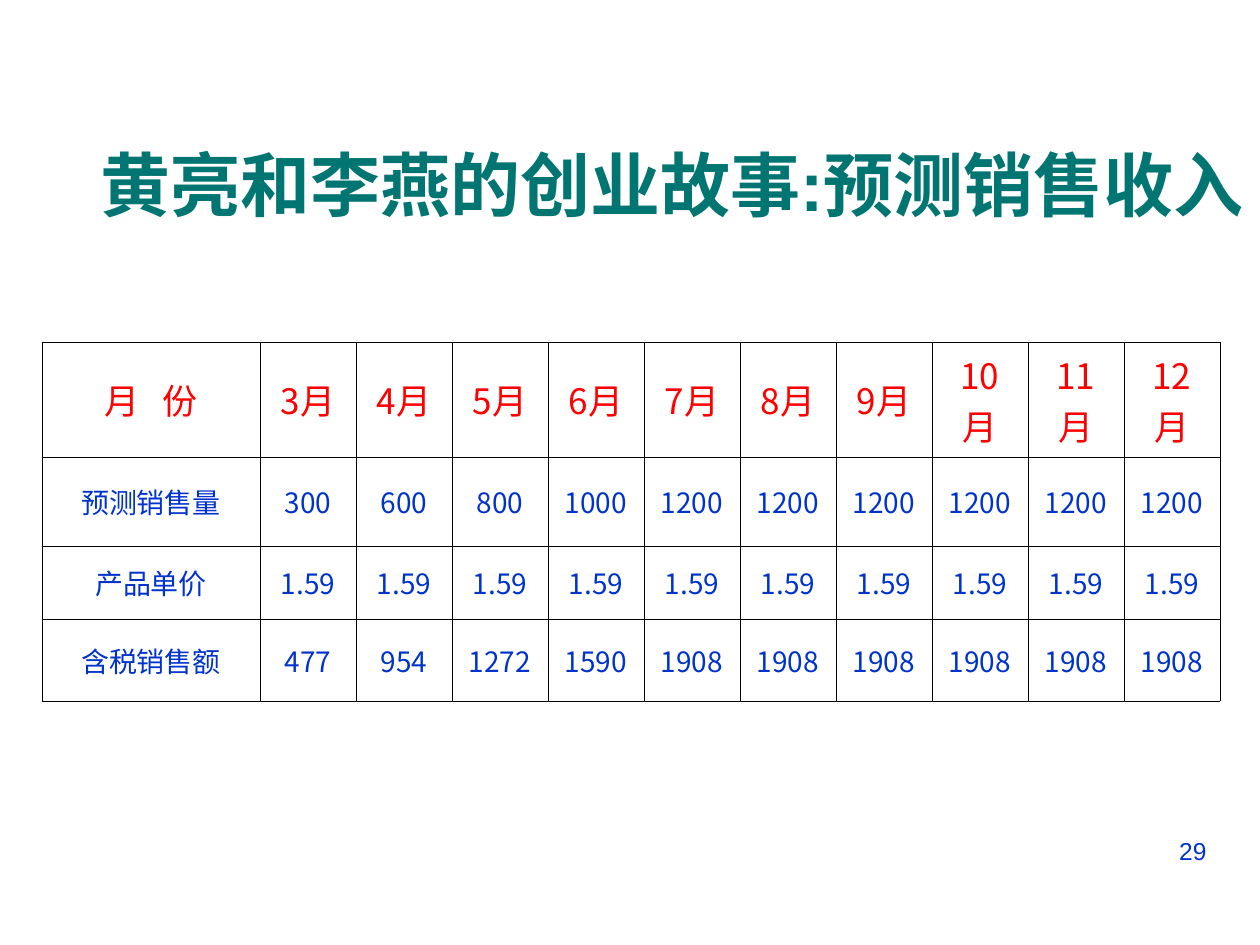
"""Build the sales revenue forecast slide."""
from dataclasses import dataclass

from lxml.etree import SubElement
from pptx import Presentation
from pptx.dml.color import RGBColor
from pptx.enum.text import MSO_ANCHOR, PP_ALIGN
from pptx.oxml.ns import qn
from pptx.util import Emu, Pt


@dataclass(frozen=True)
class TextStyle:
    font: str
    size: int
    color: str
    bold: bool = False


@dataclass(frozen=True)
class Theme:
    title: TextStyle = TextStyle("Arial", 40, "007572", True)
    header: TextStyle = TextStyle("Noto Sans CJK SC", 20, "FF0000")
    body: TextStyle = TextStyle("Noto Sans CJK SC", 16, "0033CC")
    number: TextStyle = TextStyle("Arial", 14, "0033CC")
    border_color: str = "000000"
    border_width: float = 0.45


@dataclass(frozen=True)
class Box:
    left: int
    top: int
    width: int
    height: int


@dataclass(frozen=True)
class TextBlock:
    text: str
    box: Box
    style: TextStyle
    alignment: PP_ALIGN
    anchor: MSO_ANCHOR


@dataclass(frozen=True)
class ForecastRow:
    label: str
    values: list[str]
    height: int
    style: TextStyle


THEME = Theme()
PIXELS_PER_INCH = 126
LABEL_WIDTH = 218
MONTH_WIDTH = 96
LABEL_GAP = 9
TABLE_LEFT = 42
TABLE_TOP = 342
VOLUMES = [300, 600, 800, 1000] + [1200] * 6
UNIT_PRICE = 1.59

BLOCKS = [
    TextBlock("黄亮和李燕的创业故事:预测销售收入 ", Box(84, 136, 1176, 95),
              THEME.title, PP_ALIGN.CENTER, MSO_ANCHOR.MIDDLE),
    TextBlock("29", Box(904, 830, 315, 66),
              THEME.number, PP_ALIGN.RIGHT, MSO_ANCHOR.TOP),
]
ROWS = [
    ForecastRow("月 份", [f"{month}月" for month in range(3, 13)], 115, THEME.header),
    ForecastRow("预测销售量", [str(volume) for volume in VOLUMES], 89, THEME.body),
    ForecastRow("产品单价", [str(UNIT_PRICE)] * len(VOLUMES), 73, THEME.body),
    ForecastRow("含税销售额", [f"{volume * UNIT_PRICE:.0f}" for volume in VOLUMES],
                82, THEME.body),
]


def scale(pixels: int) -> Emu:
    """Turn pixels into EMU."""
    return Emu(round(pixels * 914400 / PIXELS_PER_INCH))


def place(box: Box) -> tuple[Emu, ...]:
    """Give the scaled position and size of a box."""
    return tuple(scale(value) for value in (box.left, box.top, box.width, box.height))


def add_run(paragraph, text: str, style: TextStyle, spacing: int = 0) -> None:
    """Add one styled run, with optional letter spacing in points."""
    run = paragraph.add_run()
    run.text = text
    run.font.name = style.font
    run.font.size = Pt(style.size)
    run.font.bold = style.bold
    run.font.color.rgb = RGBColor.from_string(style.color)
    properties = run.font._element
    SubElement(properties, qn("a:ea"), typeface=style.font)
    if spacing:
        properties.set("spc", str(spacing * 100))


def add_text_block(slide, block: TextBlock) -> None:
    """Draw a wrapped text box."""
    frame = slide.shapes.add_textbox(*place(block.box)).text_frame
    frame.word_wrap = True
    frame.vertical_anchor = block.anchor
    paragraph = frame.paragraphs[0]
    paragraph.alignment = block.alignment
    add_run(paragraph, block.text, block.style)


def add_borders(cell) -> None:
    """Outline a cell on all four sides."""
    properties = cell._tc.get_or_add_tcPr()
    for index, side in enumerate(("a:lnL", "a:lnR", "a:lnT", "a:lnB")):
        line = properties.makeelement(qn(side), {"w": str(Pt(THEME.border_width))})
        fill = SubElement(line, qn("a:solidFill"))
        SubElement(fill, qn("a:srgbClr"), val=THEME.border_color)
        properties.insert(index, line)


def fill_cell(cell, text: str, style: TextStyle) -> None:
    """Write centred text into an outlined, unfilled cell."""
    cell.fill.background()
    add_borders(cell)
    cell.vertical_anchor = MSO_ANCHOR.MIDDLE
    paragraph = cell.text_frame.paragraphs[0]
    paragraph.alignment = PP_ALIGN.CENTER
    before, gap, after = text.partition(" ")
    add_run(paragraph, before, style)
    if gap:
        add_run(paragraph, gap, style, LABEL_GAP)
        add_run(paragraph, after, style)


def add_forecast_table(slide, rows: list[ForecastRow]) -> None:
    """Draw the monthly forecast table."""
    widths = [LABEL_WIDTH] + [MONTH_WIDTH] * len(VOLUMES)
    box = Box(TABLE_LEFT, TABLE_TOP, sum(widths), sum(row.height for row in rows))
    table = slide.shapes.add_table(len(rows), len(widths), *place(box)).table
    table.first_row = False
    table.horz_banding = False
    for column, width in zip(table.columns, widths):
        column.width = scale(width)
    for table_row, row in zip(table.rows, rows):
        table_row.height = scale(row.height)
        for cell, text in zip(table_row.cells, [row.label, *row.values]):
            fill_cell(cell, text, row.style)


def main() -> None:
    """Assemble and save the presentation."""
    presentation = Presentation()
    presentation.slide_width = scale(1260)
    presentation.slide_height = scale(945)
    slide = presentation.slides.add_slide(presentation.slide_layouts[6])
    title, number = BLOCKS
    add_text_block(slide, title)
    add_forecast_table(slide, ROWS)
    add_text_block(slide, number)
    presentation.save("out.pptx")


if __name__ == "__main__":
    main()
